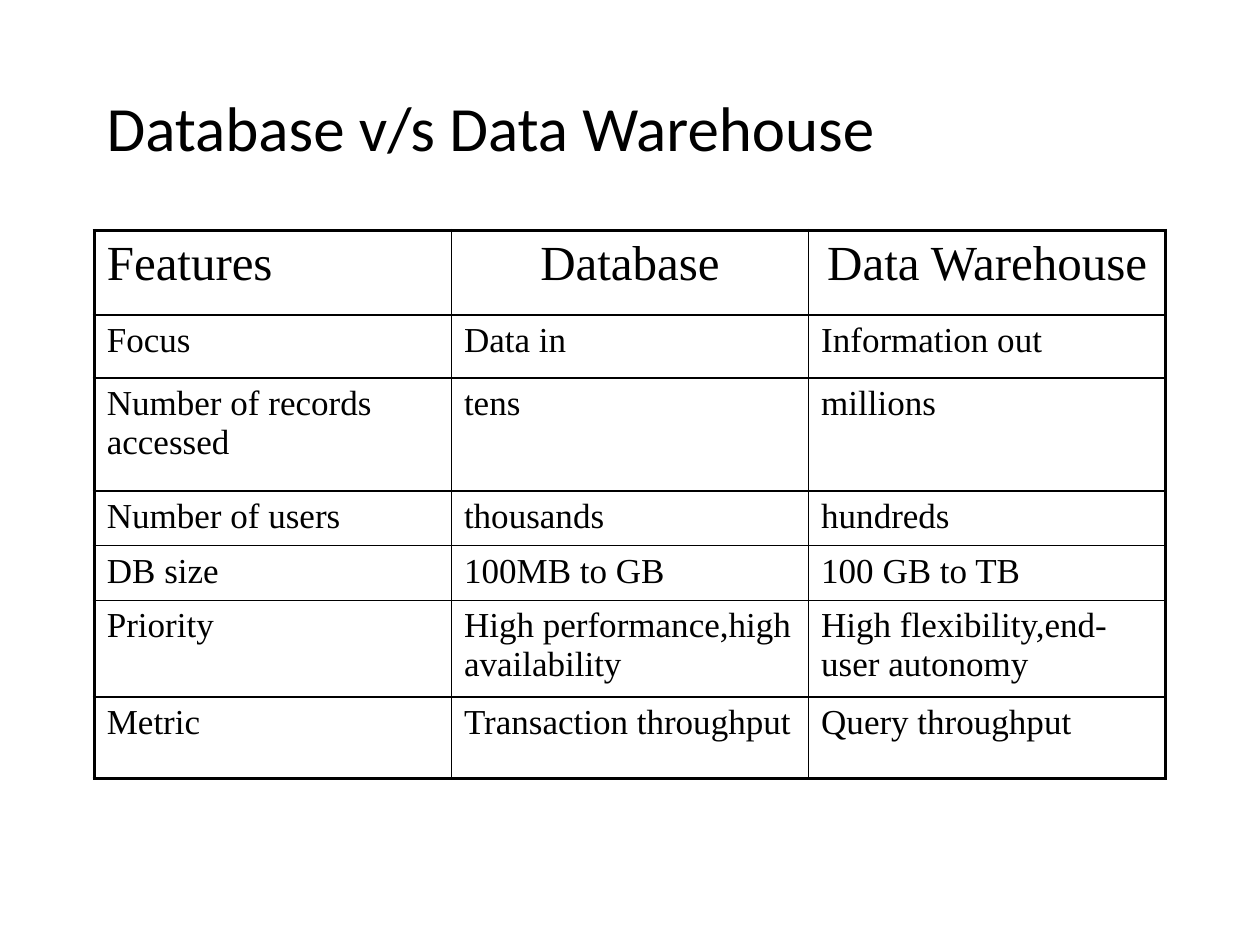
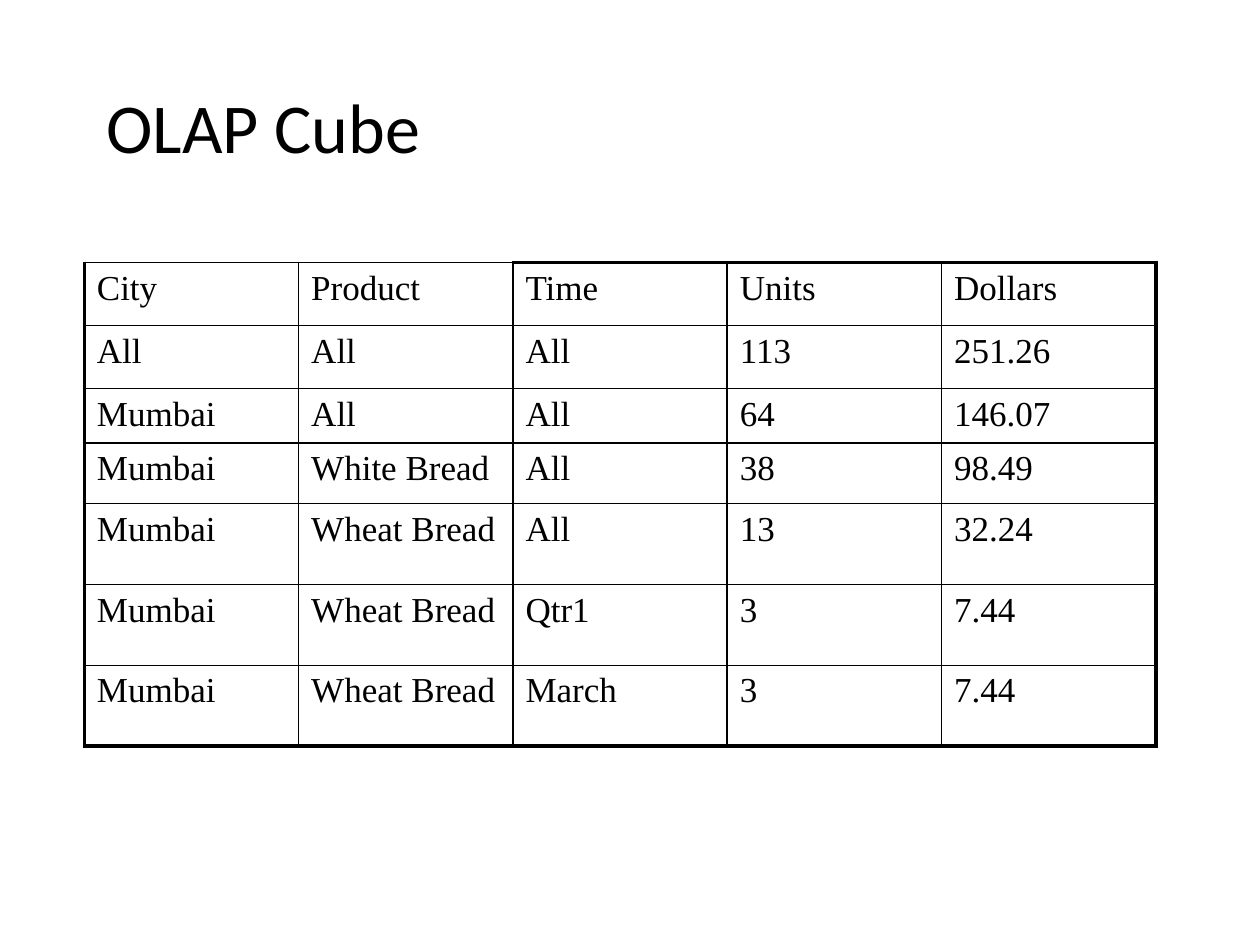
from lxml import etree
from pptx import Presentation
from pptx.dml.color import RGBColor
from pptx.enum.text import MSO_ANCHOR, PP_ALIGN
from pptx.oxml.ns import qn
from pptx.util import Cm, Pt

MIDDLE = MSO_ANCHOR.MIDDLE
LEFT, CENTER = PP_ALIGN.LEFT, PP_ALIGN.CENTER
BLACK = "000000"
TITLE_FONT, TABLE_FONT = "Calibri", "Times New Roman"
THIN, THICK = 1, 2.25
CONTENT_WIDTH = 21.6
BODY_SIZE = 20


def color(hex_string):
    return RGBColor.from_string(hex_string)


class Deck:
    """Holds the shared style and the slide being filled."""

    def __init__(self):
        self.presentation = Presentation()
        self.presentation.slide_width = Cm(25.4)
        self.presentation.slide_height = Cm(19.05)
        self.slide = None

    def new_slide(self):
        blank = self.presentation.slide_layouts[6]
        self.slide = self.presentation.slides.add_slide(blank)

    def set_text(self, text_frame, text, font_name, size, alignment=LEFT):
        text_frame.text = text
        text_frame.word_wrap = True
        paragraph = text_frame.paragraphs[0]
        paragraph.alignment = alignment
        font = paragraph.runs[0].font
        font.name, font.size = font_name, Pt(size)
        font.color.rgb = color(BLACK)
        return paragraph

    def title(self, text, size, top, height):
        box = self.slide.shapes.add_textbox(
            Cm(1.9), Cm(top), Cm(CONTENT_WIDTH), Cm(height))
        box.text_frame.vertical_anchor = MIDDLE
        paragraph = self.set_text(box.text_frame, text, TITLE_FONT, size)
        paragraph.line_spacing = 0.9

    def border(self, cell, side, width):
        line = etree.SubElement(cell._tc.get_or_add_tcPr(), qn(f"a:ln{side}"),
                                w=str(Pt(width)))
        fill = etree.SubElement(line, qn("a:solidFill"))
        etree.SubElement(fill, qn("a:srgbClr"), val=BLACK)

    def table(self, rows, left, top, row_heights, header_size=BODY_SIZE,
              header_alignment=LEFT, thin_top_columns=0):
        """Grid with thin inner lines and a thick outer frame."""
        row_count, column_count = len(rows), len(rows[0])
        frame = self.slide.shapes.add_table(
            row_count, column_count, Cm(left), Cm(top),
            Cm(CONTENT_WIDTH), Cm(sum(row_heights)))
        table = frame.table
        table.first_row = table.horz_banding = False
        for column in table.columns:
            column.width = Cm(CONTENT_WIDTH / column_count)
        for row, height in zip(table.rows, row_heights):
            row.height = Cm(height)

        for r, values in enumerate(rows):
            for c, value in enumerate(values):
                cell = table.cell(r, c)
                is_header = r == 0
                self.set_text(cell.text_frame, value, TABLE_FONT,
                              header_size if is_header else BODY_SIZE,
                              header_alignment if is_header and c > 0 else LEFT)
                outer_sides = {
                    "L": c == 0,
                    "R": c == column_count - 1,
                    "T": is_header and c >= thin_top_columns,
                    "B": r == row_count - 1,
                }
                for side, is_outer in outer_sides.items():
                    self.border(cell, side, THICK if is_outer else THIN)
                cell.fill.background()


def main():
    deck = Deck()

    # Comparison of the two systems
    deck.new_slide()
    deck.title("Database v/s Data Warehouse", size=36, top=1.7, height=1.9)
    comparison = [
        ("Features", "Database", "Data Warehouse"),
        ("Focus", "Data in", "Information out"),
        ("Number of records accessed", "tens", "millions"),
        ("Number of users", "thousands", "hundreds"),
        ("DB size", "100MB to GB", "100 GB to TB"),
        ("Priority", "High performance,high availability",
         "High flexibility,end-user autonomy"),
        ("Metric", "Transaction throughput", "Query throughput"),
    ]
    deck.table(comparison, left=1.9, top=4.65,
               row_heights=[1.7, 1.27, 2.28, 1.1, 1.1, 1.83, 1.64],
               header_size=28, header_alignment=CENTER)

    # Sales cube by city, product and time
    deck.new_slide()
    deck.title("OLAP Cube", size=40, top=1.48, height=2.33)
    sales_cube = [
        ("City", "Product", "Time", "Units", "Dollars"),
        ("All", "All", "All", "113", "251.26"),
        ("Mumbai", "All", "All", "64", "146.07"),
        ("Mumbai", "White Bread", "All", "38", "98.49"),
        ("Mumbai", "Wheat Bread", "All", "13", "32.24"),
        ("Mumbai", "Wheat Bread", "Qtr1", "3", "7.44"),
        ("Mumbai", "Wheat Bread", "March", "3", "7.44"),
    ]
    deck.table(sales_cube, left=1.7, top=5.29,
               row_heights=[1.27, 1.27, 1.07, 1.22] + [1.63] * 3,
               thin_top_columns=2)

    deck.presentation.save("out.pptx")


if __name__ == "__main__":
    main()
